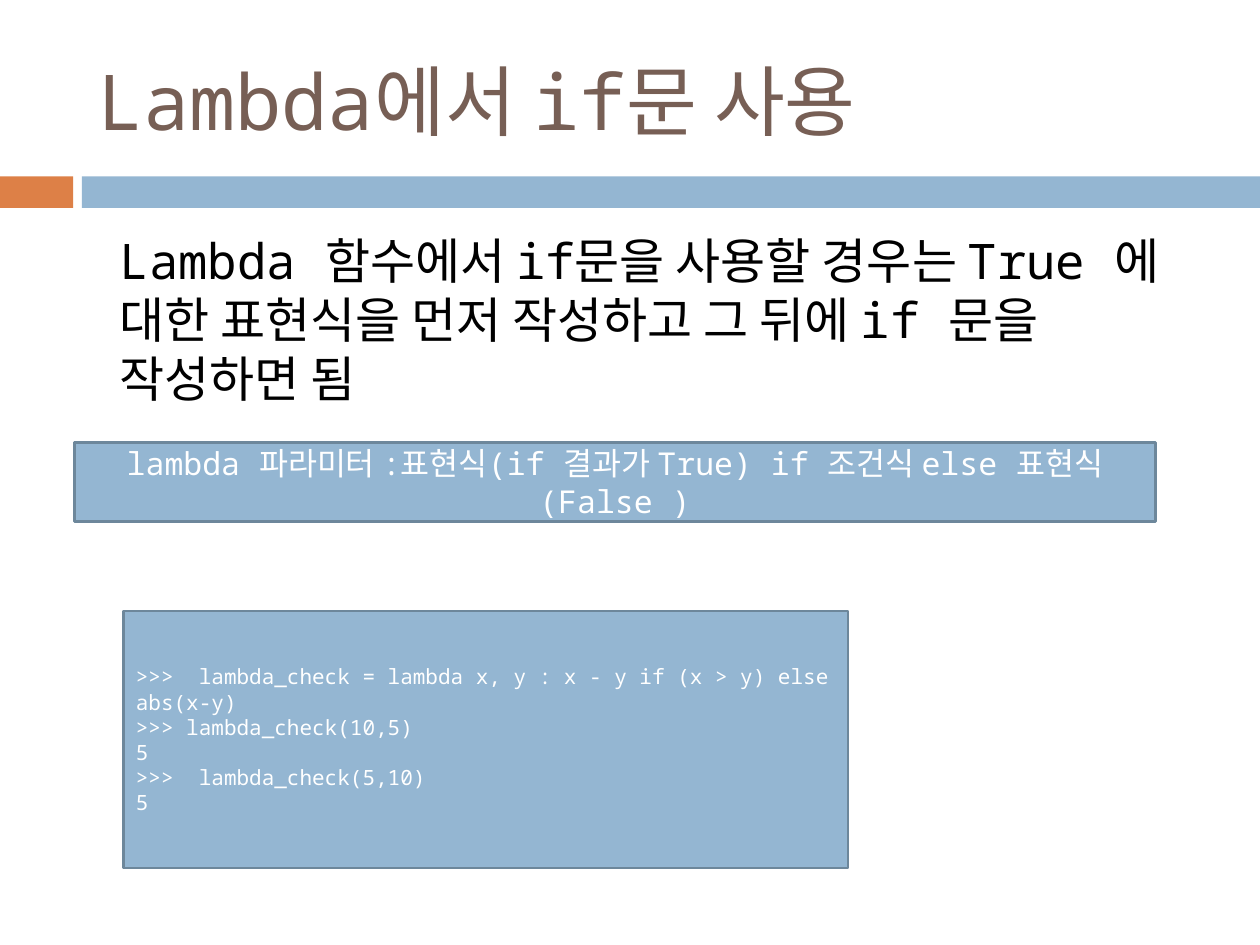
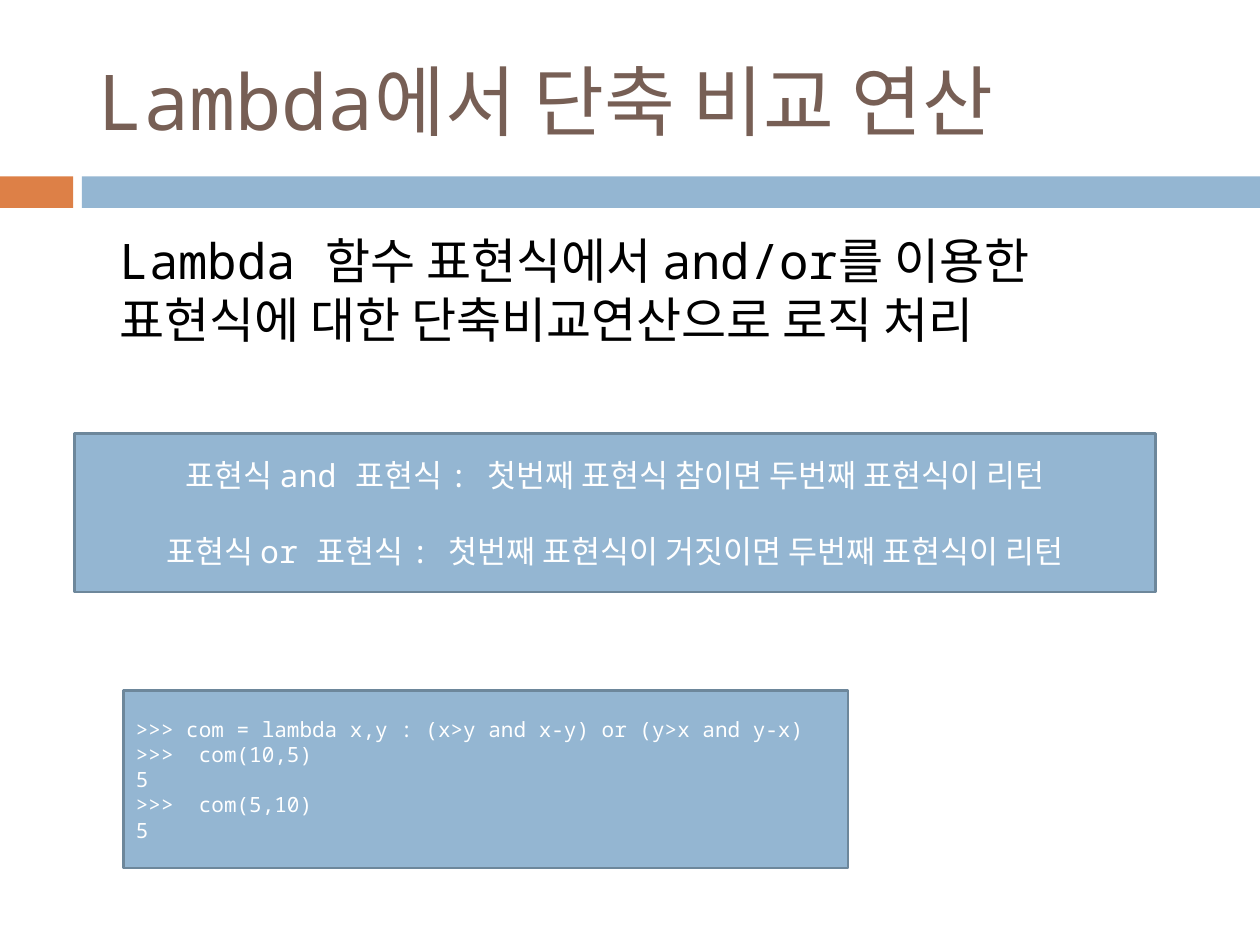
from pptx import Presentation
from pptx.dml.color import RGBColor
from pptx.enum import shapes, text
from pptx.oxml import ns
from pptx.util import Inches, Pt
from lxml import etree

FONT = "Noto Sans Mono"
ORANGE, BLUE, EDGE = "DD8047", "94B6D2", "6D879B"
BROWN, BLACK, WHITE = "775F55", "000000", "FFFFFF"

# Boxes: left, top, width, height in inches
TITLE_BOX = (0.67, 0.25, 8.92, 1.08)
BODY_BOX = (0.5, 1.78, 9, 1.42)


def color(hex_string):
    return RGBColor.from_string(hex_string)


def place(shape, box):
    shape.left, shape.top, shape.width, shape.height = map(Inches, box)


def add_run(paragraph, words, size, font_color):
    run = paragraph.add_run()
    run.text = words
    run.font.name = FONT
    run.font.size = Pt(size)
    run.font.color.rgb = color(font_color)


def add_rectangle(slide, box, fill, edge=None):
    shape = slide.shapes.add_shape(
        shapes.MSO_SHAPE.RECTANGLE, *map(Inches, box))
    shape.shadow.inherit = False
    shape.fill.solid()
    shape.fill.fore_color.rgb = color(fill)
    if edge:
        shape.line.color.rgb = color(edge)
        shape.line.width = Pt(1.5)
    else:
        shape.line.fill.background()
    return shape


def add_master_bands(slide):
    """Draw the two bands, then move them to the master behind everything."""
    tree = slide.slide_layout.slide_master.shapes.element
    bands = [((0, 1.4, 0.58, 0.25), ORANGE), ((0.65, 1.4, 9.35, 0.25), BLUE)]
    for position, (box, fill) in enumerate(bands, start=2):
        tree.insert(position, add_rectangle(slide, box, fill).element)


def set_title(slide, words):
    title = slide.shapes.title
    place(title, TITLE_BOX)
    frame = title.text_frame
    frame.auto_size = text.MSO_AUTO_SIZE.NONE
    frame.vertical_anchor = text.MSO_ANCHOR.MIDDLE
    paragraph = frame.paragraphs[0]
    paragraph.alignment = text.PP_ALIGN.LEFT
    add_run(paragraph, words, 44, BROWN)


def set_body(slide, words):
    body = slide.placeholders[1]
    place(body, BODY_BOX)
    frame = body.text_frame
    frame.auto_size = text.MSO_AUTO_SIZE.NONE
    paragraph = frame.paragraphs[0]
    paragraph.level = 1
    paragraph.space_before = Pt(5.5)
    # Indented text without a bullet
    properties = paragraph._p.get_or_add_pPr()
    properties.set("marL", str(Inches(0.35)))
    properties.set("indent", "0")
    etree.SubElement(properties, ns.qn("a:buNone"))
    add_run(paragraph, words, 28, BLACK)


def add_panel(slide, box, lines, size, alignment, gap=0):
    """Blue panel with one paragraph a line, gap points apart."""
    frame = add_rectangle(slide, box, BLUE, EDGE).text_frame
    frame.word_wrap = True
    frame.vertical_anchor = text.MSO_ANCHOR.MIDDLE
    for index, line in enumerate(lines):
        paragraph = frame.add_paragraph() if index else frame.paragraphs[0]
        paragraph.alignment = alignment
        paragraph.space_before = Pt(gap if index else 0)
        add_run(paragraph, line, size, WHITE)


def add_lambda_slide(presentation, title, body, syntax, syntax_box,
                     code, code_box):
    slide = presentation.slides.add_slide(presentation.slide_layouts[1])
    set_title(slide, title)
    set_body(slide, body)
    add_panel(slide, code_box, code, 12, text.PP_ALIGN.LEFT)
    add_panel(slide, syntax_box, syntax, 18, text.PP_ALIGN.CENTER, gap=22)
    return slide


presentation = Presentation()
presentation.slide_width = Inches(10)
presentation.slide_height = Inches(7.5)

# Slide 1: if inside a lambda
first_slide = add_lambda_slide(
    presentation,
    title="Lambda에서 if문 사용",
    body="Lambda 함수에서 if문을 사용할 경우는 True 에 대한 표현식을 "
         "먼저 작성하고 그 뒤에 if 문을 작성하면 됨",
    syntax=["lambda 파라미터 :표현식(if 결과가 True) if 조건식 else "
            "표현식(False )"],
    syntax_box=(0.59, 3.51, 8.58, 0.63),
    code=[">>>  lambda_check = lambda x, y : x - y if (x > y) else abs(x-y)",
          ">>> lambda_check(10,5)", "5", ">>>  lambda_check(5,10)", "5"],
    code_box=(0.98, 4.85, 5.75, 2.04))
add_master_bands(first_slide)

# Slide 2: short-circuit operators
add_lambda_slide(
    presentation,
    title="Lambda에서 단축 비교 연산",
    body="Lambda 함수 표현식에서 and/or를 이용한 표현식에 대한 "
         "단축비교연산으로 로직 처리",
    syntax=["표현식 and 표현식 : 첫번째 표현식 참이면 두번째 표현식이 리턴",
            "표현식 or 표현식 : 첫번째 표현식이 거짓이면 두번째 표현식이 리턴"],
    syntax_box=(0.59, 3.44, 8.58, 1.26),
    code=[">>> com = lambda x,y : (x>y and x-y) or (y>x and y-x)",
          ">>>  com(10,5)", "5", ">>>  com(5,10)", "5"],
    code_box=(0.98, 5.48, 5.75, 1.41))

presentation.save("out.pptx")
